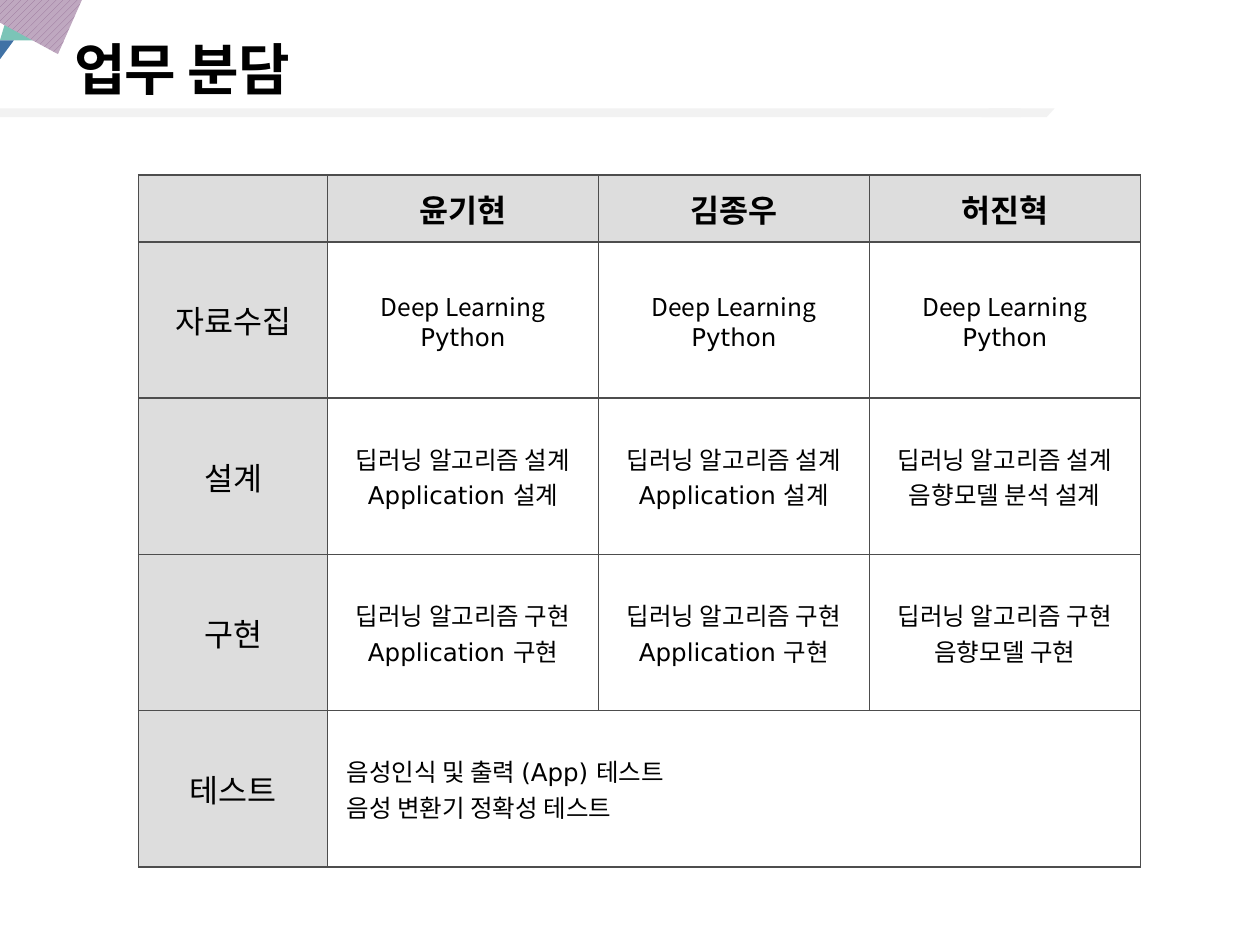
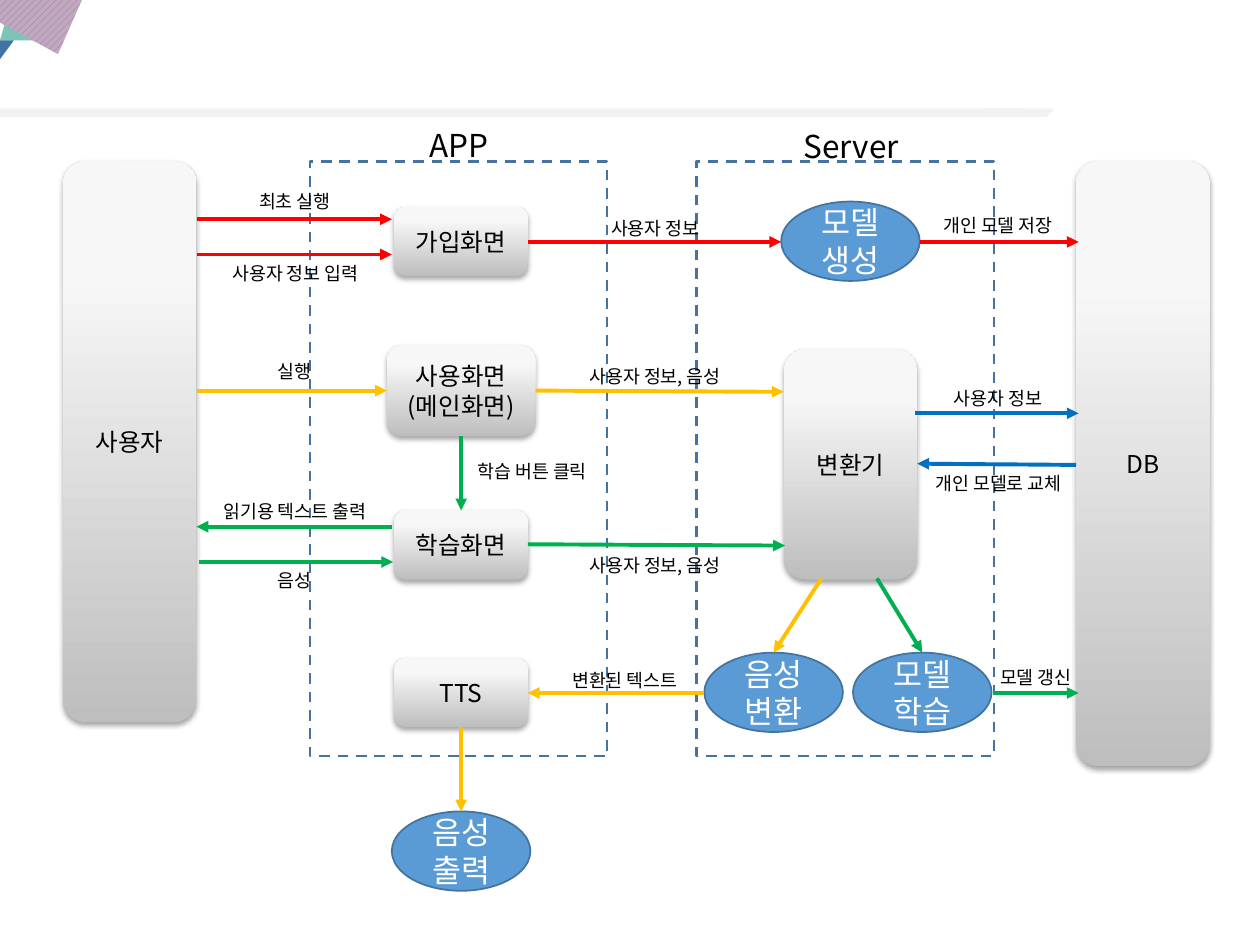
from dataclasses import dataclass
from typing import NamedTuple

from lxml.etree import SubElement
from pptx import Presentation
from pptx.dml.color import RGBColor
from pptx.enum.dml import MSO_LINE, MSO_PATTERN
from pptx.enum.shapes import MSO_CONNECTOR, MSO_SHAPE
from pptx.enum.text import MSO_ANCHOR, MSO_AUTO_SIZE, PP_ALIGN
from pptx.oxml.ns import qn
from pptx.util import Inches, Pt


# Theme: colours, fonts and type sizes
@dataclass(frozen=True)
class Theme:
    black: str = "000000"
    white: str = "FFFFFF"
    band: str = "F2F2F2"
    teal: str = "7BC4B7"
    navy: str = "4072A5"
    mauve: str = "BFA8C0"
    mauve_dark: str = "977399"
    grid: str = "4D4D4D"
    header: str = "DDDDDD"
    outline: str = "43739E"
    ellipse: str = "5B9BD5"
    box_dark: str = "BEBEBE"
    box_light: str = "F7F7F7"
    red: str = "FF0000"
    amber: str = "FFC000"
    green: str = "00B050"
    blue: str = "0070C0"
    title_font: str = "Arial"
    table_font: str = "DejaVu Sans"
    body_font: str = "Noto Sans CJK KR"
    title_size: float = 32
    large: float = 18
    medium: float = 14
    small: float = 10.5


T = Theme()


class Node(NamedTuple):
    text: str
    left: float
    top: float
    width: float
    height: float


class Arrow(NamedTuple):
    color: str
    x1: float
    y1: float
    x2: float
    y2: float


class Label(NamedTuple):
    text: str
    left: float
    top: float
    width: float = 1.34


# Content of the task table
MEMBERS = ["", "윤기현", "김종우", "허진혁"]
TASKS = [
    ["자료수집"] + ["Deep Learning\nPython"] * 3,
    ["설계"] + ["딥러닝 알고리즘 설계\nApplication 설계"] * 2
    + ["딥러닝 알고리즘 설계\n음향모델 분석 설계"],
    ["구현"] + ["딥러닝 알고리즘 구현\nApplication 구현"] * 2
    + ["딥러닝 알고리즘 구현\n음향모델 구현"],
    ["테스트", "음성인식 및 출력 (App) 테스트\n음성 변환기 정확성 테스트"],
]

# Content of the system diagram
FRAMES = [Node("", left, 1.28, 2.36, 4.72) for left in (5.53, 2.46)]
BOXES = [
    Node("사용자", 0.5, 1.28, 1.06, 4.45),
    Node("변환기", 6.22, 2.77, 1.06, 1.83),
    Node("DB", 8.54, 1.28, 1.06, 4.8),
    Node("사용화면\n(메인화면)", 3.07, 2.74, 1.18, 0.72),
] + [Node(text, 3.13, top, 1.06, 0.55)
     for text, top in (("가입화면", 1.64), ("학습화면", 4.05), ("TTS", 5.22))]
ELLIPSES = [Node(text, left, top, 1.1, 0.63) for text, left, top in (
    ("모델 생성", 6.2, 1.6), ("모델 학습", 6.77, 5.18),
    ("음성변환", 5.59, 5.18), ("음성\n출력", 3.11, 6.44))]
ARROWS = [
    Arrow(T.red, 1.56, 1.74, 3.11, 1.74),
    Arrow(T.red, 1.56, 2.02, 3.11, 2.02),
    Arrow(T.red, 4.19, 1.92, 6.2, 1.92),
    Arrow(T.red, 7.3, 1.92, 8.56, 1.92),
    Arrow(T.amber, 1.56, 3.1, 3.07, 3.1),
    Arrow(T.amber, 4.25, 3.1, 6.22, 3.11),
    Arrow(T.amber, 6.52, 4.59, 6.14, 5.18),
    Arrow(T.amber, 5.59, 5.5, 4.19, 5.5),
    Arrow(T.amber, 3.66, 5.77, 3.66, 6.44),
    Arrow(T.green, 3.66, 3.46, 3.66, 4.05),
    Arrow(T.green, 3.11, 4.18, 1.56, 4.18),
    Arrow(T.green, 1.58, 4.46, 3.12, 4.46),
    Arrow(T.green, 4.19, 4.32, 6.23, 4.33),
    Arrow(T.green, 6.96, 4.59, 7.32, 5.18),
    Arrow(T.green, 7.88, 5.5, 8.56, 5.5),
    Arrow(T.blue, 7.26, 3.28, 8.56, 3.28),
    Arrow(T.blue, 8.54, 3.69, 7.28, 3.68),
]
HEADINGS = [Label("APP", 3.3, 0.95, 0.69), Label("Server", 6.23, 0.96, 1.05)]
LABELS = [
    Label("최초 실행", 1.67, 1.51),
    Label("사용자 정보 입력", 1.46, 2.08, 1.77),
    Label("실행", 1.67, 2.86),
    Label("읽기용 텍스트 출력", 1.67, 3.97),
    Label("음성", 1.67, 4.52),
    Label("학습 버튼 클릭", 3.46, 3.65, 1.53),
    Label("사용자 정보", 4.53, 1.72),
    Label("사용자 정보, 음성", 4.53, 2.9),
    Label("사용자 정보, 음성", 4.53, 4.4),
    Label("변환된 텍스트", 4.29, 5.31),
    Label("개인 모델 저장", 7.15, 1.7, 1.54),
    Label("사용자 정보", 7.25, 3.07),
    Label("개인 모델로 교체", 7.03, 3.75, 1.79),
    Label("모델 갱신", 7.55, 5.29),
]


# Shared helpers
def rgb(color: str) -> RGBColor:
    return RGBColor.from_string(color)


def paint(fill, color: str) -> None:
    fill.solid()
    fill.fore_color.rgb = rgb(color)


def write(tf, text: str, size: float, font: str, color: str = T.black,
          bold: bool = False, align=PP_ALIGN.CENTER) -> None:
    for i, line in enumerate(text.split("\n")):
        p = tf.paragraphs[0] if i == 0 else tf.add_paragraph()
        p.alignment = align
        p.font.size, p.font.name, p.font.bold = Pt(size), font, bold
        p.font.color.rgb = rgb(color)
        p.add_run().text = line


def add_shape(slide, kind, node: Node):
    sp = slide.shapes.add_shape(kind, *map(Inches, node[1:]))
    sp.shadow.inherit = False
    sp.line.fill.background()
    sp.text_frame.vertical_anchor = MSO_ANCHOR.MIDDLE
    return sp


def add_outline(slide, points: list[tuple[int, int]]):
    # Points are in hundredths of an inch
    fb = slide.shapes.build_freeform(*points[0], scale=Inches(0.01))
    fb.add_line_segments(points[1:])
    sp = fb.convert_to_shape()
    sp.shadow.inherit = False
    sp.line.fill.background()
    return sp


def add_backdrop(slide) -> None:
    # Title band
    bar = add_shape(slide, MSO_SHAPE.RECTANGLE, Node("", 0, 0.86, 8.1, 0.07))
    tip = add_shape(slide, MSO_SHAPE.PARALLELOGRAM, Node("", 7.79, 0.86, 0.58, 0.07))
    tip.adjustments[0] = 0.9
    for sp in (bar, tip):
        paint(sp.fill, T.band)
    # Corner pieces
    teal = add_outline(slide, [(30, 32), (0, 32), (9, 2), (19, 17)])
    paint(teal.fill, T.teal)
    hatch = add_outline(slide, [(0, 0), (65, 0), (50, 34), (46, 43), (0, 18)])
    hatch.fill.patterned()
    hatch.fill.pattern = MSO_PATTERN.WIDE_UPWARD_DIAGONAL
    hatch.fill.fore_color.rgb = rgb(T.mauve_dark)
    hatch.fill.back_color.rgb = rgb(T.mauve)
    navy = add_outline(slide, [(0, 47), (0, 32), (11, 32)])
    paint(navy.fill, T.navy)


def add_title(slide, text: str) -> None:
    tf = slide.shapes.add_textbox(0, 0, Inches(7.65), Inches(0.88)).text_frame
    tf.word_wrap = False
    tf.vertical_anchor = MSO_ANCHOR.MIDDLE
    tf.margin_left, tf.margin_top = Inches(0.59), Inches(0.2)
    tf.margin_right = tf.margin_bottom = 0
    write(tf, text, T.title_size, T.title_font, bold=True, align=PP_ALIGN.LEFT)
    tf.paragraphs[0].runs[0]._r.get_or_add_rPr().set("spc", "-50")


# Table parts
def style_cell(cell, color: str) -> None:
    tcPr = cell._tc.get_or_add_tcPr()
    for side in ("a:lnL", "a:lnR", "a:lnT", "a:lnB"):
        ln = SubElement(tcPr, qn(side), w=str(Pt(1)))
        SubElement(SubElement(ln, qn("a:solidFill")), qn("a:srgbClr"), val=T.grid)
    paint(cell.fill, color)
    cell.vertical_anchor = MSO_ANCHOR.MIDDLE


def add_task_table(slide) -> None:
    widths, heights = [1.5] + [2.15] * 3, [0.53] + [1.24] * 4
    table = slide.shapes.add_table(
        len(heights), len(widths), Inches(1.1), Inches(1.39),
        Inches(sum(widths)), Inches(sum(heights))).table
    for col, width in zip(table.columns, widths):
        col.width = Inches(width)
    for row, height in zip(table.rows, heights):
        row.height = Inches(height)
    for r, texts in enumerate([MEMBERS] + TASKS):
        for c in range(len(widths)):
            cell = table.cell(r, c)
            heading = r == 0 or c == 0
            style_cell(cell, T.header if heading else T.white)
            if c < len(texts) and texts[c]:
                last = r == len(TASKS) and not heading
                write(cell.text_frame, texts[c], T.large if heading else T.medium,
                      T.table_font, bold=r == 0,
                      align=PP_ALIGN.LEFT if last else PP_ALIGN.CENTER)
            if r == 1 and not heading:
                cell.text_frame.paragraphs[0].font.name = T.body_font
    test = table.cell(len(TASKS), 1)
    test.merge(table.cell(len(TASKS), len(widths) - 1))
    test.margin_left = Inches(0.15)


# Diagram parts
def add_frame(slide, node: Node) -> None:
    sp = add_shape(slide, MSO_SHAPE.RECTANGLE, node)
    paint(sp.fill, T.white)
    paint(sp.line.fill, T.outline)
    sp.line.width, sp.line.dash_style = Pt(1.5), MSO_LINE.DASH


def add_box(slide, node: Node) -> None:
    sp = add_shape(slide, MSO_SHAPE.ROUNDED_RECTANGLE, node)
    sp.fill.gradient()
    sp.fill.gradient_angle = 90
    for stop, color, position in zip(sp.fill.gradient_stops,
                                     (T.box_dark, T.box_light), (0, 0.8)):
        stop.color.rgb, stop.position = rgb(color), position
    effects = sp._element.spPr.find(qn("a:effectLst"))
    shadow = SubElement(effects, qn("a:outerShdw"), blurRad=str(Pt(3.1)),
                        dist=str(Pt(1.8)), dir="5400000", rotWithShape="0")
    tint = SubElement(shadow, qn("a:srgbClr"), val=T.black)
    SubElement(tint, qn("a:alpha"), val="35000")
    write(sp.text_frame, node.text, T.medium, T.body_font)


def add_ellipse(slide, node: Node) -> None:
    sp = add_shape(slide, MSO_SHAPE.OVAL, node)
    paint(sp.fill, T.ellipse)
    paint(sp.line.fill, T.outline)
    sp.line.width = Pt(1)
    write(sp.text_frame, node.text, T.large, T.body_font, T.white)


def add_arrow(slide, arrow: Arrow) -> None:
    cxn = slide.shapes.add_connector(MSO_CONNECTOR.STRAIGHT, *map(Inches, arrow[1:]))
    paint(cxn.line.fill, arrow.color)
    cxn.line.width = Pt(2.25)
    SubElement(cxn.line._get_or_add_ln(), qn("a:tailEnd"), type="triangle")
    SubElement(cxn._element.spPr, qn("a:effectLst"))


def add_label(slide, label: Label, size: float, height: float, inset: bool) -> None:
    tf = slide.shapes.add_textbox(*map(Inches, label[1:]), Inches(height)).text_frame
    tf.word_wrap, tf.auto_size = True, MSO_AUTO_SIZE.SHAPE_TO_FIT_TEXT
    if not inset:
        tf.margin_left = tf.margin_top = tf.margin_right = tf.margin_bottom = 0
    write(tf, label.text, size, T.body_font)


def main() -> None:
    prs = Presentation()
    prs.slide_width, prs.slide_height = Inches(10), Inches(7.5)
    tasks, diagram = (prs.slides.add_slide(prs.slide_layouts[6]) for _ in range(2))
    for slide in (tasks, diagram):
        add_backdrop(slide)

    # Division of work
    add_title(tasks, "업무 분담")
    add_task_table(tasks)

    # System diagram
    for draw, items in ((add_frame, FRAMES), (add_box, BOXES),
                        (add_ellipse, ELLIPSES), (add_arrow, ARROWS)):
        for item in items:
            draw(diagram, item)
    for heading in HEADINGS:
        add_label(diagram, heading, T.large, 0.4, inset=True)
    for label in LABELS:
        add_label(diagram, label, T.small, 0.18, inset=False)
    prs.save("out.pptx")


if __name__ == "__main__":
    main()
